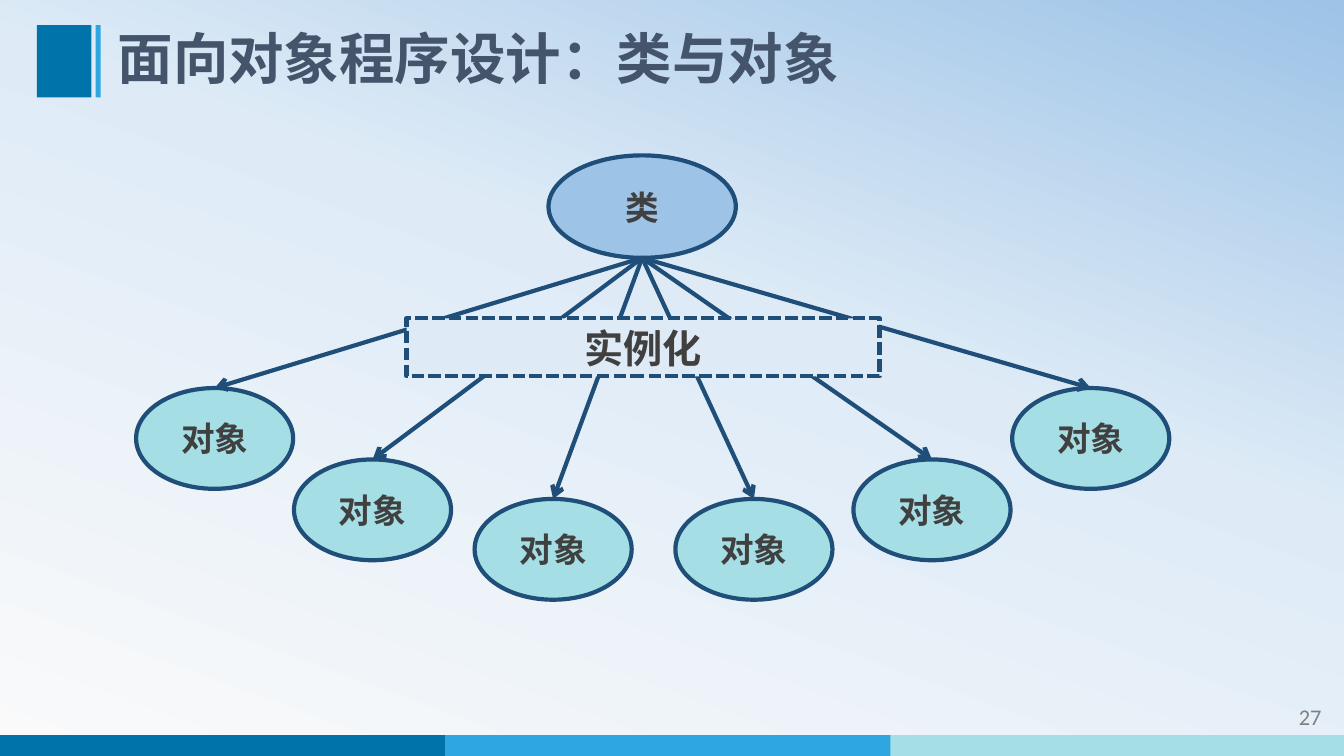
from copy import deepcopy

from lxml import etree
from pptx import Presentation
from pptx.dml.color import RGBColor
from pptx.enum.dml import MSO_LINE
from pptx.enum.shapes import MSO_CONNECTOR, MSO_SHAPE
from pptx.enum.text import MSO_ANCHOR, MSO_AUTO_SIZE, PP_ALIGN
from pptx.oxml.ns import qn
from pptx.util import Inches, Pt

RECT, OVAL = MSO_SHAPE.RECTANGLE, MSO_SHAPE.OVAL
STRAIGHT = MSO_CONNECTOR.STRAIGHT
LEFT, CENTER, RIGHT = PP_ALIGN.LEFT, PP_ALIGN.CENTER, PP_ALIGN.RIGHT
MIDDLE = MSO_ANCHOR.MIDDLE
DASHED = MSO_LINE.SQUARE_DOT
NO_AUTOFIT = MSO_AUTO_SIZE.NONE

BLUE = RGBColor(0x00, 0x73, 0xAB)
SKY = RGBColor(0x2E, 0xA7, 0xE0)
AQUA = RGBColor(0xA5, 0xDE, 0xE4)
NAVY = RGBColor(0x1F, 0x4E, 0x79)
PALE = RGBColor(0xDE, 0xEB, 0xF7)
LIGHT_BLUE = RGBColor(0x9D, 0xC3, 0xE6)
OFF_WHITE = RGBColor(0xFA, 0xFA, 0xFA)
SLATE = RGBColor(0x44, 0x54, 0x6A)
DARK = RGBColor(0x40, 0x40, 0x40)
GRAY = RGBColor(0x80, 0x80, 0x80)

COLS, ROWS = 16, 9


class Deck:
    """Style and current slide; lengths are columns and rows of a 16 x 9 grid."""

    font = "Noto Sans CJK SC"
    line_width = Pt(3)

    def __init__(self):
        self.prs = Presentation()
        self.prs.slide_width, self.prs.slide_height = Inches(13.33), Inches(7.5)
        self.s = self.prs.slides.add_slide(self.prs.slide_layouts[5])

    def grid(self, col, row):
        return (round(col * self.prs.slide_width / COLS),
                round(row * self.prs.slide_height / ROWS))

    def background(self, stops, angle):
        fill = self.s.background.fill
        fill.gradient()
        fill.gradient_angle = angle
        stop_list = self.s.element.find(".//" + qn("a:gsLst"))
        stop_list.append(deepcopy(stop_list[-1]))
        for stop, (position, color) in zip(fill.gradient_stops, stops):
            stop.position, stop.color.rgb = position, color

    def set_text(self, sp, text, size, color, align=CENTER, bold=True, font=None):
        tf = sp.text_frame
        tf.word_wrap, tf.vertical_anchor = True, MIDDLE
        tf.auto_size = NO_AUTOFIT
        p = tf.paragraphs[0]
        p.alignment = align
        r = p.add_run()
        r.text = text
        r.font.size, r.font.bold = Pt(size), bold
        r.font.name = font or self.font
        r.font.color.rgb = color
        # East Asian characters take their typeface from a:ea
        ea = etree.SubElement(r._r.get_or_add_rPr(), qn("a:ea"))
        ea.set("typeface", font or self.font)
        return p

    def title(self, text, col, row, width, height):
        sp = self.s.shapes.title
        sp.left, sp.top = self.grid(col, row)
        sp.width, sp.height = self.grid(width, height)
        self.set_text(sp, text, 39.6, SLATE, LEFT).line_spacing = 0.9

    def text(self, text, col, row, width, height, size, color, align, font):
        sp = self.s.shapes.add_textbox(*self.grid(col, row), *self.grid(width, height))
        self.set_text(sp, text, size, color, align, False, font)

    def shape(self, kind, col, row, width, height, fill, outlined=False):
        sp = self.s.shapes.add_shape(
            kind, *self.grid(col, row), *self.grid(width, height))
        sp.shadow.inherit = False
        sp.fill.solid()
        sp.fill.fore_color.rgb = fill
        if outlined:
            sp.line.color.rgb, sp.line.width = NAVY, self.line_width
        else:
            sp.line.fill.background()
        return sp

    def node(self, kind, text, col, row, width, height, fill, size=24):
        sp = self.shape(kind, col, row, width, height, fill, True)
        self.set_text(sp, text, size, DARK)
        return sp

    def arrow(self, start, end):
        sp = self.s.shapes.add_connector(STRAIGHT, *self.grid(*start), *self.grid(*end))
        sp.line.color.rgb, sp.line.width = NAVY, self.line_width
        ln = sp._element.spPr.find(qn("a:ln"))
        etree.SubElement(ln, qn("a:tailEnd")).set("type", "arrow")
        etree.SubElement(sp._element.spPr, qn("a:effectLst"))


def main():
    deck = Deck()
    deck.background([(0, OFF_WHITE), (0.58, PALE), (1, LIGHT_BLUE)], 70)

    # Footer bands, title marker and page number
    for i, color in enumerate((BLUE, SKY, AQUA)):
        deck.shape(RECT, 5.3 * i, 8.75, 5.4, 0.25, color)
    deck.shape(RECT, 0.44, 0.3, 0.65, 0.86, BLUE)
    deck.shape(RECT, 1.14, 0.3, 0.06, 0.86, SKY)
    deck.text("27", 13.94, 8.29, 1.91, 0.48, 16, GRAY, RIGHT, "Calibri")
    deck.title("面向对象程序设计：类与对象", 1.28, 0.3, 13.03, 0.86)

    # The class, with an arrow to each of its objects
    class_col, class_row, class_w, class_h = 6.53, 1.85, 2.23, 1.22
    object_w, object_h = 1.87, 1.2
    deck.node(OVAL, "类", class_col, class_row, class_w, class_h, LIGHT_BLUE)
    class_foot = (class_col + class_w / 2, class_row + class_h)
    object_cols = (1.62, 3.5, 5.65, 8.04, 10.16, 12.05)
    object_rows = (4.62, 5.47, 5.94, 5.94, 5.47, 4.62)
    for col, row in zip(object_cols, object_rows):
        deck.node(OVAL, "对象", col, row, object_w, object_h, AQUA)
        deck.arrow(class_foot, (col + object_w / 2, row))

    # Instantiation label over the arrows
    label = deck.node(RECT, "实例化", 4.84, 3.79, 5.63, 0.69, PALE, 28)
    label.line.dash_style = DASHED

    deck.prs.save("out.pptx")


if __name__ == "__main__":
    main()
